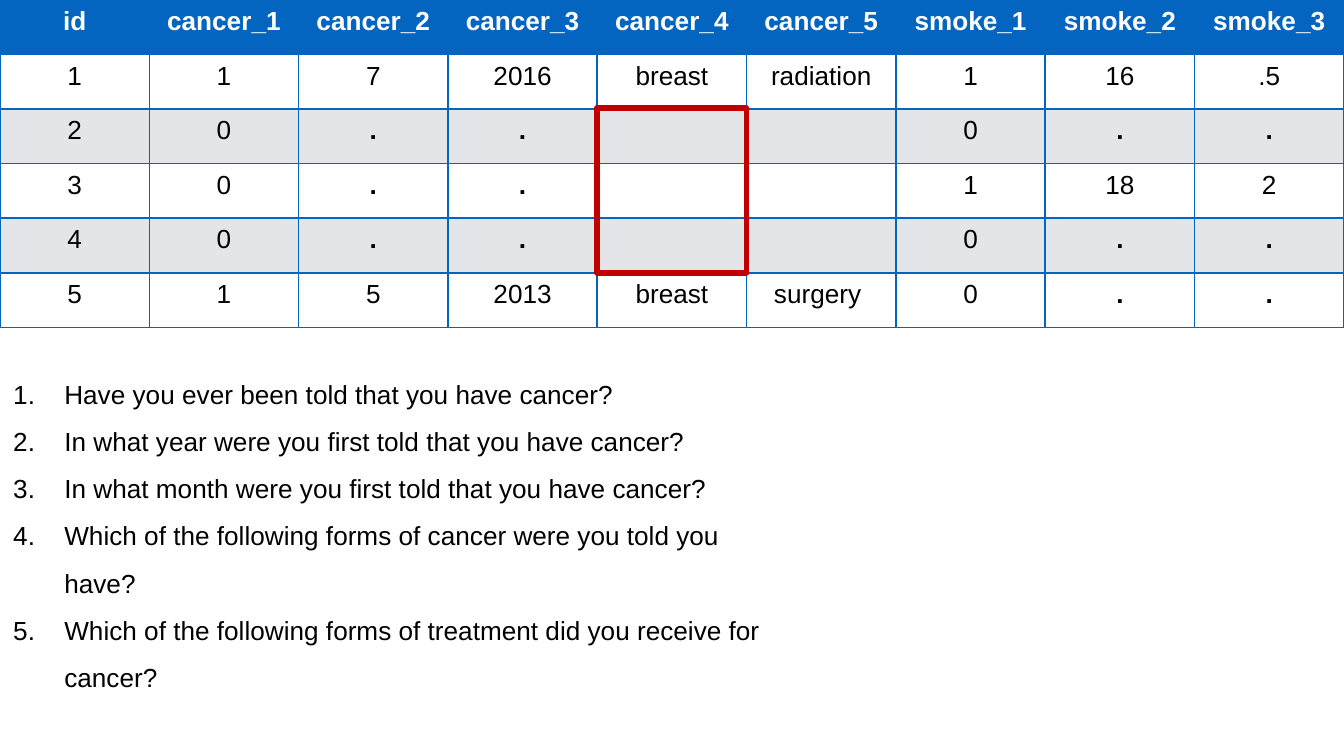
from lxml import etree
from pptx import Presentation
from pptx import util as u
from pptx.dml.color import RGBColor
from pptx.enum import shapes, text
from pptx.oxml import ns

WIDTH = u.Inches(10)
HEIGHT = WIDTH * 9 // 16
COLORS = {"blue": "0365C0", "white": "FFFFFF", "gray": "E3E5E8",
          "black": "000000", "red": "C00000"}
FONT = "Arial"
RECORDS = [
    ["id", "cancer_1", "cancer_2", "cancer_3", "cancer_4", "cancer_5",
     "smoke_1", "smoke_2", "smoke_3"],
    ["1", "1", "7", "2016", "breast", "radiation", "1", "16", ".5"],
    ["2", "0", ".", ".", "", "", "0", ".", "."],
    ["3", "0", ".", ".", "", "", "1", "18", "2"],
    ["4", "0", ".", ".", "", "", "0", ".", "."],
    ["5", "1", "5", "2013", "breast", "surgery ", "0", ".", "."],
]
QUESTIONS = [
    "Have you ever been told that you have cancer?",
    "In what year were you first told that you have cancer?",
    "In what month were you first told that you have cancer?",
    "Which of the following forms of cancer were you told you have?",
    "Which of the following forms of treatment did you receive for cancer?",
]


def rgb(name):
    return RGBColor.from_string(COLORS[name])


def share(length, percent):
    return round(length * percent / 100)


def add_element(parent, tag, **attributes):
    return etree.SubElement(parent, ns.qn(tag), attributes)


def write_text(paragraph, words, color="black", bold=False, size=14,
               align=text.PP_ALIGN.LEFT, spacing=None):
    paragraph.text = words
    paragraph.alignment = align
    if spacing:
        paragraph.line_spacing = spacing
    font = paragraph.font
    for run in paragraph.runs:
        font = run.font
    font.name, font.size, font.bold = FONT, u.Pt(size), bold
    font.color.rgb = rgb(color)


def number_paragraph(paragraph, indent):
    properties = paragraph._p.get_or_add_pPr()
    properties.set("marL", str(indent))
    properties.set("indent", str(-indent))
    add_element(properties, "a:buFont", typeface=FONT)
    add_element(properties, "a:buAutoNum", type="arabicPeriod")


def add_borders(cell, color, width):
    properties = cell._tc.get_or_add_tcPr()
    for side in ("a:lnL", "a:lnR", "a:lnT", "a:lnB"):
        line = add_element(properties, side, w=str(u.Pt(width)))
        fill = add_element(line, "a:solidFill")
        add_element(fill, "a:srgbClr", val=COLORS[color])


def add_records(slide, left, top, width, height):
    row_count, column_count = len(RECORDS), len(RECORDS[0])
    table = slide.shapes.add_table(row_count, column_count, left, top, width, height).table
    for column in table.columns:
        column.width = round(width / column_count)
    for row_index, (row, values) in enumerate(zip(table.rows, RECORDS)):
        row.height = round(height / row_count)
        header = row_index == 0
        banded = "white" if row_index % 2 else "gray"
        for cell, value in zip(row.cells, values):
            add_borders(cell, "blue", 1)
            cell.fill.solid()
            cell.fill.fore_color.rgb = rgb("blue" if header else banded)
            write_text(cell.text_frame.paragraphs[0], value,
                       color="white" if header else "black",
                       bold=header or value == ".", align=text.PP_ALIGN.CENTER)


def add_highlight(slide, left, top, width, height):
    shape = slide.shapes.add_shape(shapes.MSO_SHAPE.RECTANGLE, left, top, width, height)
    shape.shadow.inherit = False
    shape.fill.background()
    shape.line.color.rgb = rgb("red")
    shape.line.width = u.Pt(3)


def add_questions(slide, left, top, width, height):
    frame = slide.shapes.add_textbox(left, top, width, height).text_frame
    frame.word_wrap = True
    for index, question in enumerate(QUESTIONS):
        paragraph = frame.add_paragraph() if index else frame.paragraphs[0]
        write_text(paragraph, question, spacing=1.5)
        number_paragraph(paragraph, u.Inches(0.38))


def main():
    presentation = Presentation()
    presentation.slide_width, presentation.slide_height = WIDTH, HEIGHT
    slide = presentation.slides.add_slide(presentation.slide_layouts[6])
    table_height = share(HEIGHT, 43.3)
    column = round(WIDTH / len(RECORDS[0]))
    row = round(table_height / len(RECORDS))
    add_questions(slide, 0, share(HEIGHT, 47.15), share(WIDTH, 58.1), share(HEIGHT, 45))
    add_records(slide, 0, 0, WIDTH, table_height)
    add_highlight(slide, 4 * column, 2 * row - u.Inches(0.01),
                  column, 3 * row + u.Inches(0.01))
    presentation.save("out.pptx")


if __name__ == "__main__":
    main()
